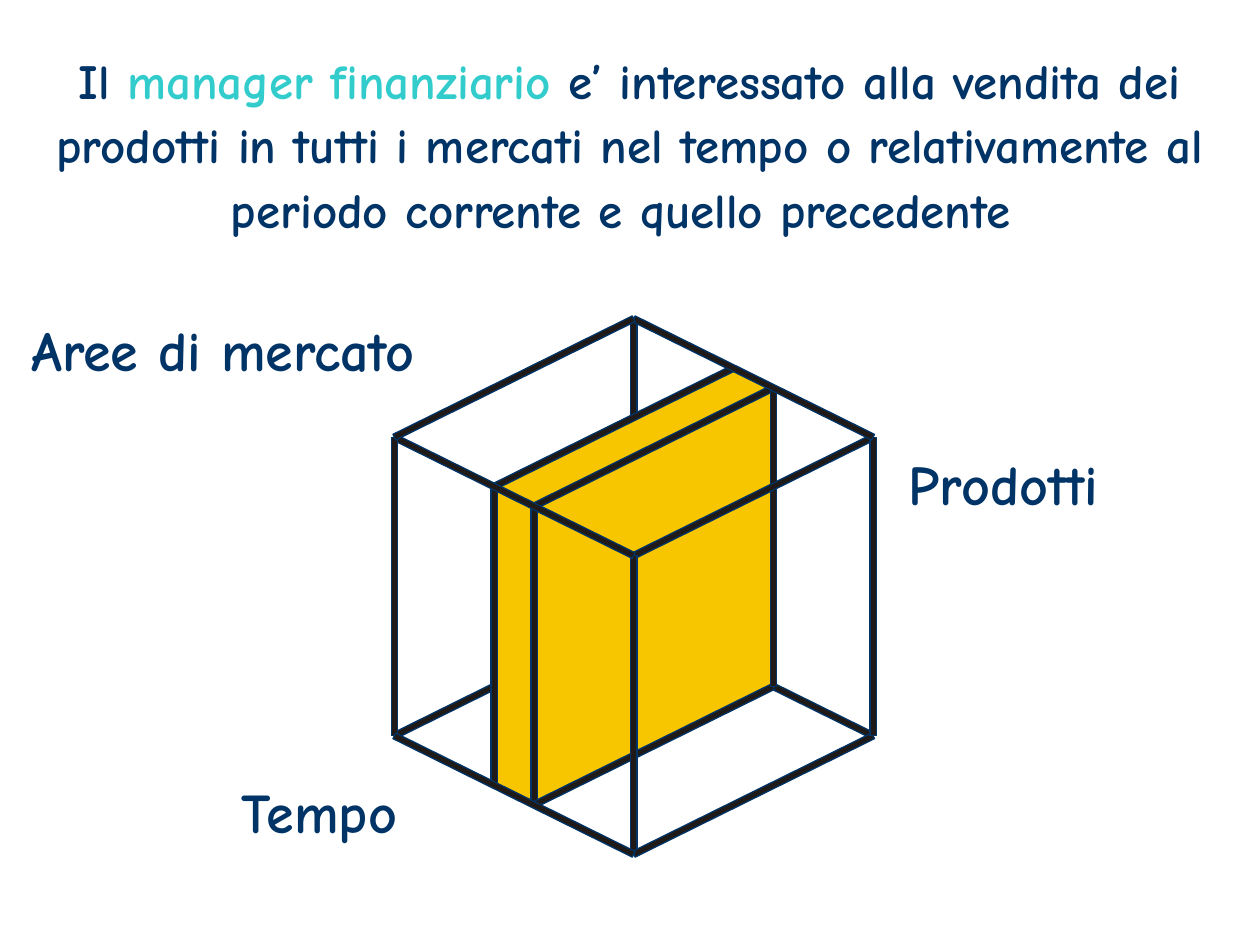
"""Build a slide with a wireframe sales cube and its highlighted time slab."""
from dataclasses import dataclass
from itertools import pairwise
from math import hypot
from typing import NamedTuple

from pptx import Presentation
from pptx.dml.color import RGBColor
from pptx.enum.text import MSO_ANCHOR, MSO_AUTO_SIZE, PP_ALIGN
from pptx.util import Emu, Inches, Pt

WIDTH, HEIGHT = Inches(10), Inches(7.5)


@dataclass(frozen=True)
class Theme:
    font: str = "Comic Neue"
    ink: RGBColor = RGBColor.from_string("003366")
    accent: RGBColor = RGBColor.from_string("33CCCC")
    edge: RGBColor = RGBColor.from_string("1F1A17")
    slab: RGBColor = RGBColor.from_string("F7C600")
    title_size: Pt = Pt(28)
    label_size: Pt = Pt(32)
    outline: Pt = Pt(0.75)


class Point(NamedTuple):
    x: float
    y: float


class Corner(NamedTuple):
    time: float
    area: float
    up: float


class Area(NamedTuple):
    left: float
    top: float
    width: float
    height: float


class Label(NamedTuple):
    text: str
    area: Area
    wrap: bool


@dataclass(frozen=True)
class Cube:
    apex: Point = Point(5.03, 2.53)
    run: float = 1.9
    drop: float = 0.94
    height: float = 2.37
    half_edge: float = 0.025

    def project(self, corner: Corner) -> Point:
        return Point(
            self.apex.x + self.run * (corner.time - corner.area),
            self.apex.y + self.drop * (corner.time + corner.area) + self.height * (1 - corner.up),
        )


THEME = Theme()
CUBE = Cube()
SLAB_START, SLAB_END = 5 / 12, 7 / 12
TITLE_AREA = Area(0.033, 0.047, 0.933, 0.275)
TITLE_RUNS = (
    ("Il ", THEME.ink),
    ("manager finanziario", THEME.accent),
    (" e’ interessato alla vendita dei prodotti in tutti i mercati nel tempo "
     "o relativamente al periodo corrente e quello precedente ", THEME.ink),
)
LABELS = (
    Label("Tempo", Area(0.192, 0.823, 0.138, 0.07), False),
    Label("Prodotti", Area(0.721, 0.476, 0.172, 0.07), False),
    Label("Aree di mercato", Area(0.025, 0.334, 0.365, 0.07), True),
)


def section(time: float) -> list[Corner]:
    return [Corner(time, 0, 1), Corner(time, 1, 1), Corner(time, 1, 0), Corner(time, 0, 0)]


def lid(start: float, end: float) -> list[Corner]:
    return [Corner(end, 0, 1), Corner(start, 0, 1), Corner(start, 1, 1), Corner(end, 1, 1)]


def side(start: float, end: float) -> list[Corner]:
    return [Corner(end, 1, 1), Corner(start, 1, 1), Corner(start, 1, 0), Corner(end, 1, 0)]


def draw_polygon(slide, points: list[Point], color: RGBColor) -> None:
    start, *rest = [(Inches(point.x), Inches(point.y)) for point in points]
    builder = slide.shapes.build_freeform(*start)
    builder.add_line_segments(rest, close=True)
    shape = builder.convert_to_shape()
    shape.shadow.inherit = False
    shape.fill.solid()
    shape.fill.fore_color.rgb = color
    shape.line.color.rgb = THEME.ink
    shape.line.width = THEME.outline


def draw_edge(slide, first: Corner, last: Corner) -> None:
    start, end = CUBE.project(first), CUBE.project(last)
    scale = CUBE.half_edge / hypot(end.x - start.x, end.y - start.y)
    across, down = (start.y - end.y) * scale, (end.x - start.x) * scale
    draw_polygon(slide, [
        Point(start.x + across, start.y + down),
        Point(end.x + across, end.y + down),
        Point(end.x - across, end.y - down),
        Point(start.x - across, start.y - down),
    ], THEME.edge)


def draw_path(slide, corners: list[Corner]) -> None:
    for first, last in pairwise(corners):
        draw_edge(slide, first, last)


def draw_slab(slide) -> None:
    front = section(SLAB_END)
    for face in (front, lid(SLAB_START, SLAB_END), side(SLAB_START, SLAB_END)):
        draw_polygon(slide, [CUBE.project(corner) for corner in face], THEME.slab)
    draw_path(slide, section(SLAB_START)[:3])
    draw_path(slide, [*front, front[0]])


def draw_back(slide) -> None:
    hidden = Corner(0, 0, 0)
    for end in (Corner(0, 1, 0), Corner(1, 0, 0), Corner(0, 0, 1)):
        draw_edge(slide, hidden, end)


def draw_front(slide) -> None:
    right = section(1)
    draw_path(slide, [*right, right[0]])
    draw_path(slide, side(0, 1))
    draw_path(slide, lid(0, 1)[:3])


def place(box, area: Area) -> None:
    box.left, box.width = Emu(round(area.left * WIDTH)), Emu(round(area.width * WIDTH))
    box.top, box.height = Emu(round(area.top * HEIGHT)), Emu(round(area.height * HEIGHT))


def format_frame(frame, wrap: bool) -> None:
    frame.margin_left = frame.margin_top = frame.margin_right = frame.margin_bottom = 0
    frame.vertical_anchor = MSO_ANCHOR.TOP
    frame.auto_size = MSO_AUTO_SIZE.NONE
    frame.word_wrap = wrap


def format_span(span, size: Pt, color: RGBColor) -> None:
    span.font.name = THEME.font
    span.font.size = size
    span.font.bold = True
    span.font.color.rgb = color


def draw_title(slide) -> None:
    title = slide.shapes.title
    place(title, TITLE_AREA)
    format_frame(title.text_frame, True)
    para = title.text_frame.paragraphs[0]
    para.alignment = PP_ALIGN.CENTER
    para.line_spacing = 1.1
    for text, color in TITLE_RUNS:
        span = para.add_run()
        span.text = text
        format_span(span, THEME.title_size, color)


def draw_label(slide, label: Label) -> None:
    box = slide.shapes.add_textbox(0, 0, 0, 0)
    place(box, label.area)
    format_frame(box.text_frame, label.wrap)
    box.text_frame.text = label.text
    format_span(box.text_frame.paragraphs[0].runs[0], THEME.label_size, THEME.ink)


def main() -> None:
    deck = Presentation()
    deck.slide_width, deck.slide_height = WIDTH, HEIGHT
    page = deck.slides.add_slide(deck.slide_layouts.get_by_name("Title Only"))
    draw_title(page)
    draw_back(page)
    draw_slab(page)
    draw_front(page)
    for label in LABELS:
        draw_label(page, label)
    deck.save("out.pptx")


if __name__ == "__main__":
    main()
